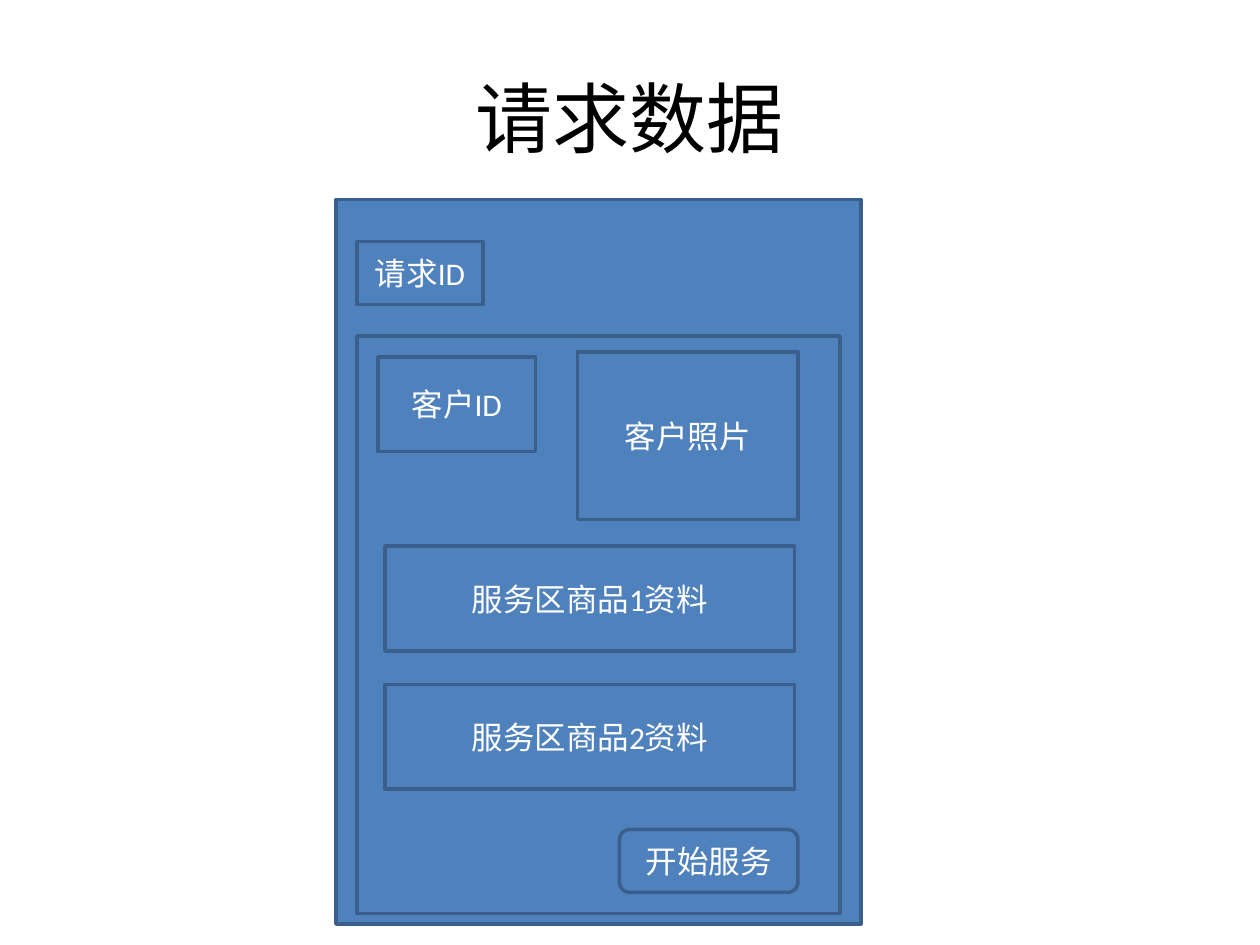
from pptx import Presentation
from pptx.dml.color import RGBColor
from pptx.enum.shapes import MSO_SHAPE
from pptx.enum.text import MSO_ANCHOR, PP_ALIGN
from pptx.util import Pt

BLUE = RGBColor(0x4F, 0x81, 0xBD)
EDGE = RGBColor(0x3A, 0x5F, 0x8C)
WHITE = RGBColor(0xFF, 0xFF, 0xFF)
BLACK = RGBColor(0x00, 0x00, 0x00)
FONT = "Calibri"


def set_text(shape, text, size, color):
    """Write one centred line of text into a shape."""
    frame = shape.text_frame
    frame.word_wrap = True
    frame.vertical_anchor = MSO_ANCHOR.MIDDLE
    line = frame.paragraphs[0]
    line.text = text
    line.alignment = PP_ALIGN.CENTER
    line.font.name = FONT
    line.font.size = Pt(size)
    line.font.color.rgb = color


def add_box(slide, left, top, width, height, text="", kind=MSO_SHAPE.RECTANGLE):
    """Add a blue outlined box with an optional label."""
    box = slide.shapes.add_shape(kind, Pt(left), Pt(top), Pt(width), Pt(height))
    box.shadow.inherit = False
    box.fill.solid()
    box.fill.fore_color.rgb = BLUE
    box.line.color.rgb = EDGE
    box.line.width = Pt(2)
    if text:
        set_text(box, text, 18, WHITE)


def add_title(slide, left, top, width, height):
    """Place the slide title in the given box."""
    title = slide.shapes.add_textbox(Pt(left), Pt(top), Pt(width), Pt(height))
    set_text(title, "请求数据", 44, BLACK)


def add_client(slide, left, top, width, height):
    """Draw the client frame with its ID, photo, goods and button."""
    add_box(slide, left, top, width, height)
    add_box(slide, left + 12, top + 12, 90, 54, "客户ID")
    add_box(slide, left + 126, top + 9, 126, 96, "客户照片")
    for index in range(2):
        add_box(slide, left + 16, top + 120 + 79 * index, 234, 60,
                f"服务区商品{index + 1}资料")
    add_box(slide, left + 150, top + height - 48, 102, 36, "开始服务",
            MSO_SHAPE.ROUNDED_RECTANGLE)


def add_request(slide, left, top, width, height):
    """Draw the request panel with its ID and client frame."""
    add_box(slide, left, top, width, height)
    add_box(slide, left + 12, top + 24, 72, 36, "请求ID")
    add_client(slide, left + 12, top + 78, width - 24, height - 84)


def main():
    """Build and save the slide."""
    deck = Presentation()
    deck.slide_width, deck.slide_height = Pt(720), Pt(540)
    slide = deck.slides.add_slide(deck.slide_layouts[6])
    add_title(slide, 36, 21.6, 648, 90)
    add_request(slide, 192, 114, 300, 414)
    deck.save("out.pptx")


if __name__ == "__main__":
    main()
